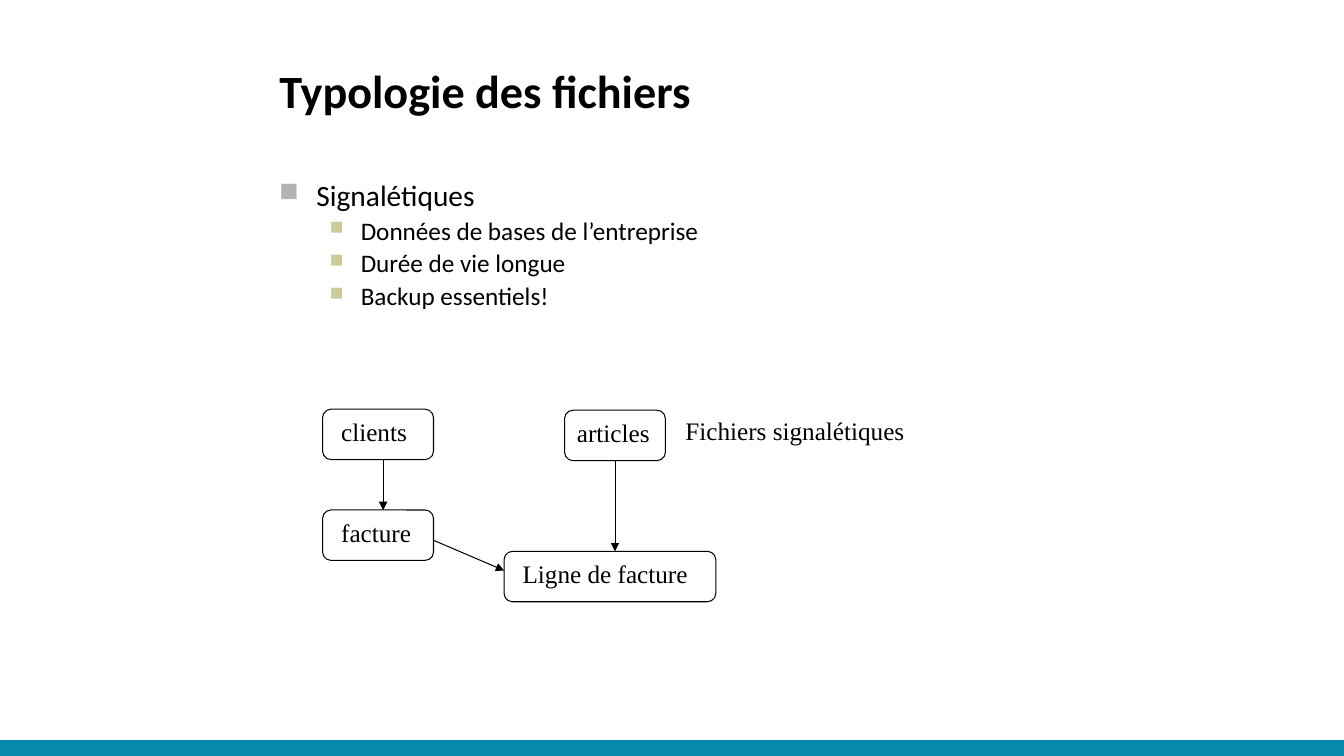
import dataclasses

import pptx
import pptx.dml.color
import pptx.enum.shapes
import pptx.enum.text
import pptx.oxml.ns
import pptx.util
from lxml import etree
from pptx.util import Inches


@dataclasses.dataclass(frozen=True)
class Theme:
    """Colours, fonts and type sizes of the slide."""
    ink: str = "000000"
    paper: str = "FFFFFF"
    band: str = "058AAE"
    topic_bullet: str = "B2B2B2"
    detail_bullet: str = "CCCC99"
    text_font: str = "Calibri"
    diagram_font: str = "Times New Roman"
    title_size: float = 33
    topic_size: float = 21
    body_size: float = 18
    outline: float = 0.75


THEME = Theme()


def rgb(code):
    """Turn a hex code into a colour."""
    return pptx.dml.color.RGBColor.from_string(code)


def add_xml(parent, tag, **attributes):
    """Append a DrawingML element to a parent element."""
    return etree.SubElement(parent, pptx.oxml.ns.qn(tag), attributes)


def write(paragraph, text, *, size=THEME.body_size, font=THEME.diagram_font,
          bold=False, line_spacing=None, space_before=0):
    """Write a left-aligned run of text with its format."""
    paragraph.alignment = pptx.enum.text.PP_ALIGN.LEFT
    paragraph.space_before = pptx.util.Pt(space_before)
    if line_spacing:
        paragraph.line_spacing = line_spacing
    run = paragraph.add_run()
    run.text = text
    run.font.size = pptx.util.Pt(size)
    run.font.name = font
    run.font.bold = bold
    run.font.color.rgb = rgb(THEME.ink)


def set_bullet(paragraph, color, percent, margin, hanging):
    """Give a paragraph a square bullet and a hanging indent."""
    properties = paragraph._p.get_or_add_pPr()
    properties.set("marL", str(Inches(margin)))
    properties.set("indent", str(-Inches(hanging)))
    add_xml(add_xml(properties, "a:buClr"), "a:srgbClr", val=color)
    add_xml(properties, "a:buSzPct", val=str(percent * 1000))
    add_xml(properties, "a:buChar", char="■")


def add_band(slide):
    """Draw the coloured band along the bottom edge."""
    band = slide.shapes.add_shape(
        pptx.enum.shapes.MSO_SHAPE.RECTANGLE,
        Inches(0), Inches(7.35), Inches(13.33), Inches(0.15))
    band.shadow.inherit = False
    band.fill.solid()
    band.fill.fore_color.rgb = rgb(THEME.band)
    band.line.color.rgb = rgb(THEME.band)
    band.line.width = pptx.util.Pt(1)


def set_title(slide, text):
    """Place and fill the title placeholder."""
    title = slide.shapes.title
    title.left, title.top = Inches(2.67), Inches(0.3)
    title.width, title.height = Inches(8.5), Inches(1.25)
    title.text_frame.auto_size = pptx.enum.text.MSO_AUTO_SIZE.NONE
    title.text_frame.vertical_anchor = pptx.enum.text.MSO_ANCHOR.MIDDLE
    write(title.text_frame.paragraphs[0], text, size=THEME.title_size,
          font=THEME.text_font, bold=True, line_spacing=0.9)


def add_text_box(slide, left, top, width, height):
    """Add a wrapping text box and return its text frame."""
    box = slide.shapes.add_textbox(
        Inches(left), Inches(top), Inches(width), Inches(height))
    box.text_frame.word_wrap = True
    return box.text_frame


def add_outline(slide, topic, details):
    """Write a bulleted topic with its details."""
    frame = add_text_box(slide, 2.67, 1.75, 8.5, 4.95)
    heading = frame.paragraphs[0]
    set_bullet(heading, THEME.topic_bullet, 90, 0.37, 0.37)
    write(heading, topic, size=THEME.topic_size, font=THEME.text_font,
          line_spacing=0.9)
    for detail in details:
        item = frame.add_paragraph()
        item.level = 1
        set_bullet(item, THEME.detail_bullet, 75, 0.81, 0.31)
        write(item, detail, font=THEME.text_font, line_spacing=0.9,
              space_before=3.8)


def add_file_box(slide, text, left, top, width, inset=0.16):
    """Draw a rounded box that stands for a file."""
    box = slide.shapes.add_shape(
        pptx.enum.shapes.MSO_SHAPE.ROUNDED_RECTANGLE,
        Inches(left), Inches(top), Inches(width), Inches(0.5))
    box.shadow.inherit = False
    box.fill.solid()
    box.fill.fore_color.rgb = rgb(THEME.paper)
    box.line.color.rgb = rgb(THEME.ink)
    box.line.width = pptx.util.Pt(THEME.outline)
    box.text_frame.vertical_anchor = pptx.enum.text.MSO_ANCHOR.TOP
    box.text_frame.margin_left = Inches(inset)
    write(box.text_frame.paragraphs[0], text)
    return box


def add_arrow(slide, start, end):
    """Draw a straight arrow between two points."""
    arrow = slide.shapes.add_connector(
        pptx.enum.shapes.MSO_CONNECTOR.STRAIGHT,
        *(Inches(length) for length in (*start, *end)))
    arrow.line.color.rgb = rgb(THEME.ink)
    arrow.line.width = pptx.util.Pt(THEME.outline)
    add_xml(arrow.line._get_or_add_ln(), "a:tailEnd", type="triangle")
    add_xml(arrow._element.spPr, "a:effectLst")
    return arrow


def add_file_diagram(slide):
    """Draw the files and the links between them."""
    add_file_box(slide, "Ligne de facture", 5, 5.47, 2.1)
    add_file_box(slide, "facture", 3.2, 5.06, 1.1)
    add_file_box(slide, "clients", 3.2, 4.06, 1.1)
    articles = add_file_box(slide, "articles", 5.6, 4.07, 1, inset=0.1)
    add_arrow(slide, (3.8, 4.56), (3.8, 5.06))
    add_arrow(slide, (4.3, 5.36), (5, 5.66))
    articles_to_line = add_arrow(slide, (6.1, 4.57), (6.1, 5.47))
    articles_to_line.begin_connect(articles, 2)
    caption = add_text_box(slide, 6.7, 4.07, 2.5, 0.6)
    write(caption.paragraphs[0], "Fichiers signalétiques")


def main():
    """Build the slide and save it."""
    deck = pptx.Presentation()
    deck.slide_width, deck.slide_height = Inches(13.33), Inches(7.5)
    slide = deck.slides.add_slide(deck.slide_layouts.get_by_name("Title Only"))
    add_band(slide)
    set_title(slide, "Typologie des fichiers")
    add_outline(slide, "Signalétiques", (
        "Données de bases de l’entreprise",
        "Durée de vie longue",
        "Backup essentiels!",
    ))
    add_file_diagram(slide)
    deck.save("out.pptx")


if __name__ == "__main__":
    main()
